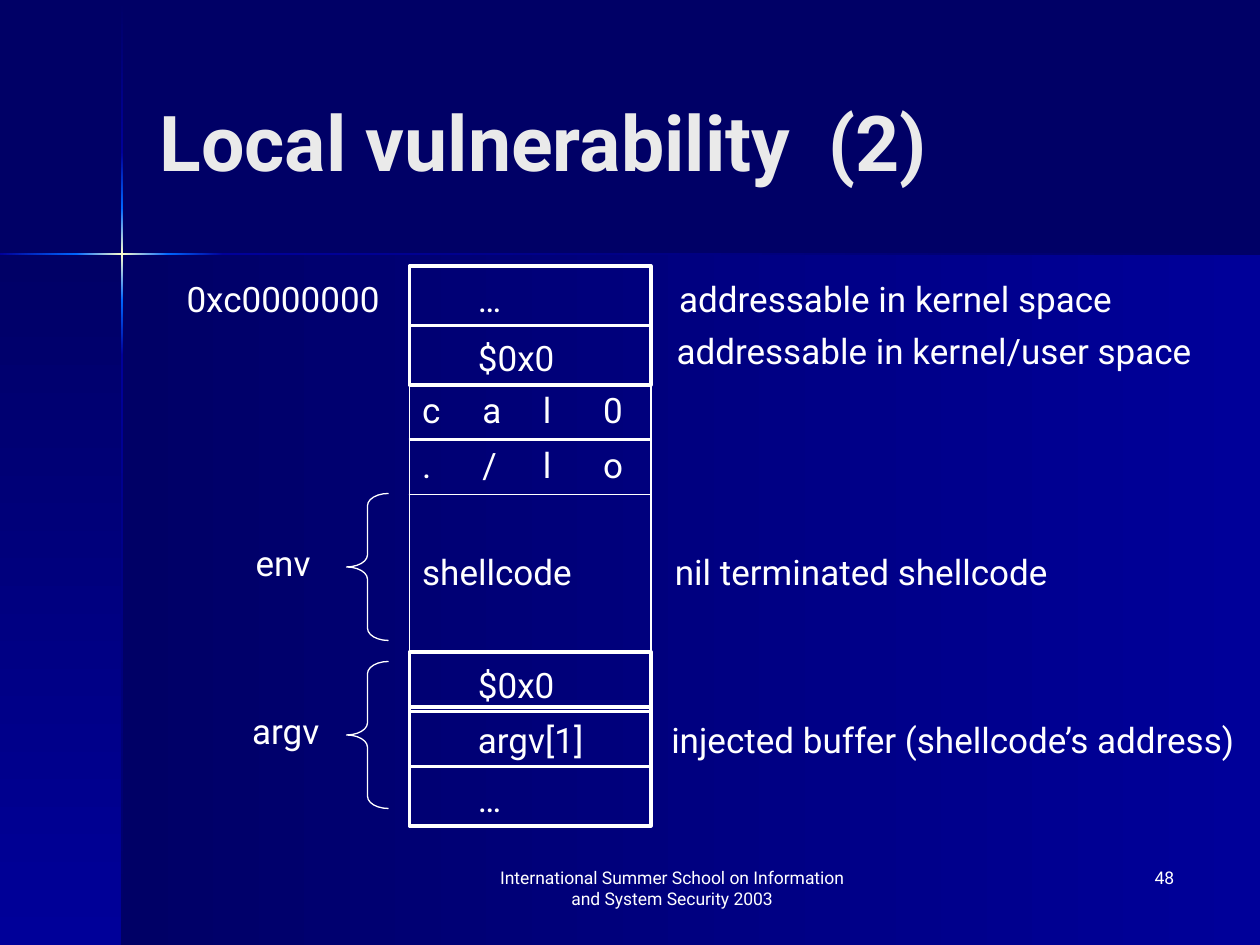
from copy import deepcopy

from lxml import etree
from pptx import Presentation
from pptx import util as u
from pptx.dml.color import RGBColor
from pptx.enum import shapes, text
from pptx.oxml.ns import qn

FONT = "Roboto"
WHITE = "FFFFFF"
NIGHT, NAVY, BLUE, GLOW = "000066", "000099", "0066FF", "FFFFCC"
ACROSS, DOWN = 0, 270
ROW = 34
LABEL_HEIGHT = 32


def colour(value):
    """Turn a hex string into a colour."""
    return RGBColor.from_string(value)


def points(box):
    """Turn a box given in points into lengths."""
    return [u.Pt(value) for value in box]


def format_text(frame, size, value=WHITE, bold=False, align=text.PP_ALIGN.LEFT):
    """Format every run of a text frame."""
    for para in frame.paragraphs:
        para.alignment = align
        for span in para.runs:
            span.font.name = FONT
            span.font.size = u.Pt(size)
            span.font.bold = bold
            span.font.color.rgb = colour(value)


def add_label(page, box, words):
    """Add a one-line label."""
    frame = page.shapes.add_textbox(*points(box)).text_frame
    frame.word_wrap = False
    frame.auto_size = text.MSO_AUTO_SIZE.SHAPE_TO_FIT_TEXT
    frame.text = words
    format_text(frame, 20)


def add_outline(page, kind, box, width):
    """Add an unfilled white shape."""
    shape = page.shapes.add_shape(kind, *points(box))
    shape.shadow.inherit = False
    shape.fill.background()
    shape.line.color.rgb = colour(WHITE)
    shape.line.width = u.Pt(width)
    return shape


def add_gradient(page, box, angle, colours):
    """Add a borderless rectangle with evenly spaced gradient stops."""
    shape = page.shapes.add_shape(shapes.MSO_SHAPE.RECTANGLE, *points(box))
    shape.shadow.inherit = False
    shape.line.fill.background()
    shape.fill.gradient()
    shape.fill.gradient_angle = angle
    stop_list = next(shape._element.spPr.iter(qn("a:gsLst")))
    for _ in colours[2:]:
        stop_list.append(deepcopy(stop_list[0]))
    for index, (stop, value) in enumerate(zip(shape.fill.gradient_stops, colours)):
        stop.color.rgb = colour(value)
        stop.position = index / (len(colours) - 1)


def draw_backdrop(page, box):
    """Draw the two panels and the glowing cross over the night background."""
    left, top, width, height = box
    page.background.fill.solid()
    page.background.fill.fore_color.rgb = colour(NIGHT)
    cross_x, cross_y = left + 70, top + 145.5
    low = top + height - cross_y
    add_gradient(page, (cross_x, cross_y, left + width - cross_x, low), ACROSS, [NIGHT, NAVY])
    add_gradient(page, (left, cross_y, cross_x - left, low), DOWN, [NIGHT, NAVY])
    beams = [[NIGHT, NAVY], [NAVY, BLUE], [BLUE, GLOW, BLUE], [BLUE, NAVY], [NAVY, NIGHT]]
    stops = [0, 87, 119, 171.5, 203, height]
    for start, end, colours in zip(stops, stops[1:], beams):
        add_gradient(page, (cross_x - 1, top + start, 1.5, end - start), DOWN, colours)
    stops = [0, 43.5, 96, 127.5, width]
    for start, end, colours in zip(stops, stops[1:], beams[1:]):
        add_gradient(page, (left + start, cross_y - 1, end - start, 1.5), ACROSS, colours)


def draw_title(page, box, words):
    """Place and format the title placeholder."""
    title = page.shapes.title
    title.left, title.top, title.width, title.height = points(box)
    frame = title.text_frame
    frame.text = words
    frame.vertical_anchor = text.MSO_ANCHOR.MIDDLE
    format_text(frame, 44, "EAEAEA", True)


def set_borders(cell, sides):
    """Draw the named cell borders in white and clear the others."""
    properties = cell._tc.get_or_add_tcPr()
    for side in "LRTB":
        line = etree.SubElement(properties, qn(f"a:ln{side}"), w=str(u.Pt(1.08)))
        if side in sides:
            fill = etree.SubElement(line, qn("a:solidFill"))
            etree.SubElement(fill, qn("a:srgbClr"), val=WHITE)
        else:
            etree.SubElement(line, qn("a:noFill"))


def add_cells(page, box, words, anchor):
    """Add a one-row table with an outer border."""
    table = page.shapes.add_table(1, len(words), *points(box)).table
    table.first_row = table.horz_banding = False
    last = len(words) - 1
    for index, word in enumerate(words):
        cell = table.cell(0, index)
        cell.text = word
        cell.vertical_anchor = anchor
        set_borders(cell, "TB" + "L" * (index == 0) + "R" * (index == last))
        cell.fill.background()
        format_text(cell.text_frame, 20)


def draw_stack(page, box):
    """Draw the memory stack as framed words and tables."""
    left, top, width, _ = box
    words = [(0, "…", 30), (34, "$0x0", 59), (220.5, "$0x0", 59),
             (252, "argv[1]", 81), (286, "…", 30)]
    for offset, word, label_width in words:
        add_outline(page, shapes.MSO_SHAPE.RECTANGLE, (left, top + offset, width, ROW), 2)
        add_label(page, (left + 32, top + offset + 3, label_width, LABEL_HEIGHT), word)
    tables = [(68, 31.5, "cal0", text.MSO_ANCHOR.TOP),
              (99, 31.5, "./lo", text.MSO_ANCHOR.TOP),
              (130.5, 90, ["shellcode"], text.MSO_ANCHOR.MIDDLE)]
    for offset, height, cells, anchor in tables:
        add_cells(page, (left, top + offset, width, height), cells, anchor)


def draw_regions(page, box):
    """Draw the start address and the braced regions left of the stack."""
    left, top, _, _ = box
    add_label(page, (left, top + 3, 126, LABEL_HEIGHT), "0xc0000000")
    for word, offset, indent, width in [("env", 130, 39.5, 48), ("argv", 226, 37.5, 56)]:
        brace_box = (left + 98.5, top + offset, 24, 84)
        brace = add_outline(page, shapes.MSO_SHAPE.LEFT_BRACE, brace_box, 0.75)
        brace.adjustments[0] = 0.29
        add_label(page, (left + indent, top + offset + 24, width, LABEL_HEIGHT), word)


def draw_notes(page, box):
    """Write the remarks right of the stack."""
    left, top, _, _ = box
    remarks = [("addressable in kernel space", 4.5, 3, 275),
               ("addressable in kernel/user space", 3, 33, 325),
               ("nil terminated shellcode", 2, 159, 242),
               ("injected buffer (shellcode’s address)", 0, 255, 351)]
    for words, indent, offset, width in remarks:
        add_label(page, (left + indent, top + offset, width, LABEL_HEIGHT), words)


def draw_footer(page, box):
    """Write the event name and the page number."""
    left, top, width, height = box
    event = "International Summer School on Information and System Security 2003"
    parts = [(event, left, 228, text.PP_ALIGN.CENTER),
             ("48", left + width - 150, 150, text.PP_ALIGN.RIGHT)]
    for words, start, part_width, align in parts:
        frame = page.shapes.add_textbox(*points((start, top, part_width, height))).text_frame
        frame.word_wrap = True
        frame.text = words
        format_text(frame, 10, align=align)


def main():
    """Build the slide and save it."""
    deck = Presentation()
    deck.slide_width, deck.slide_height = u.Pt(720), u.Pt(540)
    page = deck.slides.add_slide(deck.slide_layouts[5])
    draw_backdrop(page, (0, 0, 720, 540))
    draw_title(page, (84, 24, 594, 113), "Local vulnerability  (2)")
    draw_stack(page, (234, 152, 138, 320))
    draw_regions(page, (99.5, 152, 123, 320))
    draw_notes(page, (376.5, 152, 351, 320))
    draw_footer(page, (270, 492, 408, 36))
    deck.save("out.pptx")


if __name__ == "__main__":
    main()
